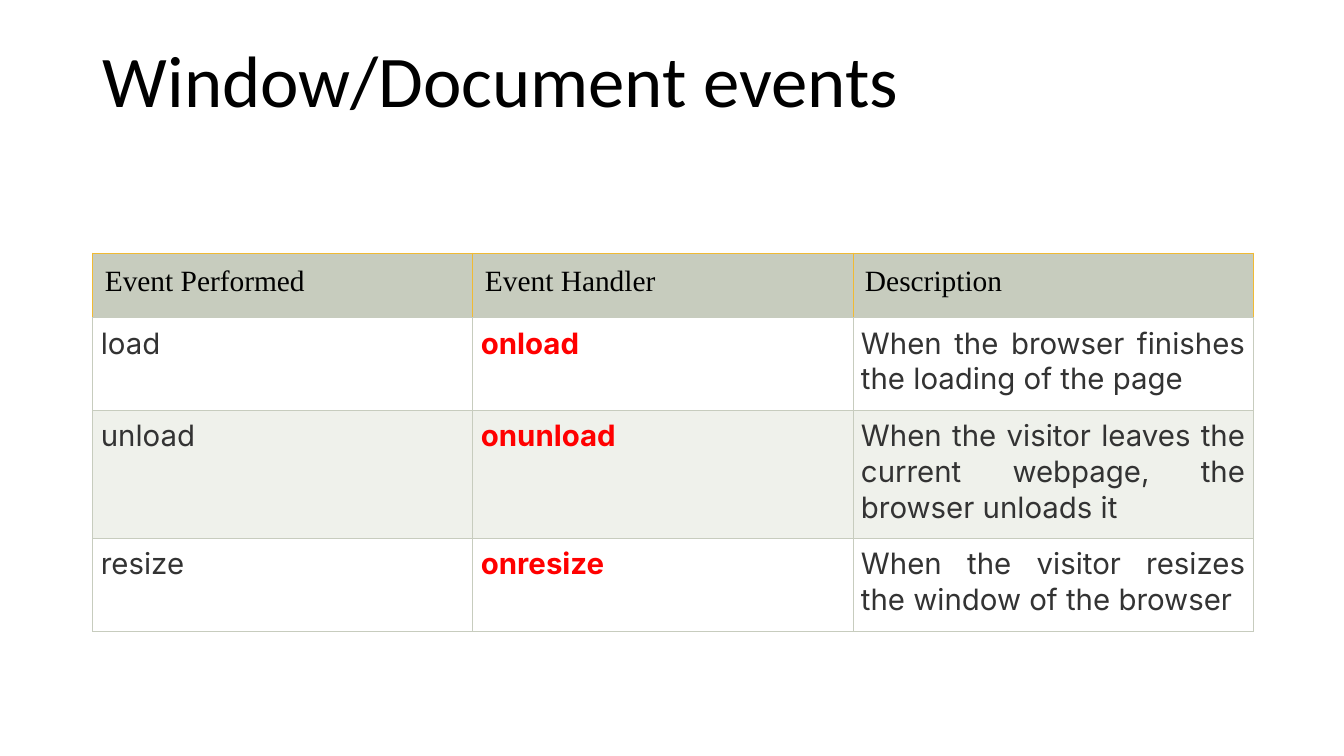
import pptx
import pptx.util
import pptx.dml.color
import pptx.enum.text
import pptx.oxml.ns
from lxml import etree

TITLE = "Window/Document events"
ROWS = [
    ("Event Performed", "Event Handler", "Description"),
    ("load", "onload", "When the browser finishes the loading of the page"),
    ("unload", "onunload", "When the visitor leaves the current webpage, the browser unloads it"),
    ("resize", "onresize", "When the visitor resizes the window of the browser"),
]
COLORS = {"black": "000000", "text": "333333", "handler": "FF0000",
          "header": "C7CCBE", "band": "EFF1EB", "gold": "F0BA34"}
WIDTH, HEIGHT = 13.33, 7.5
LEFT, TABLE_TOP, CONTENT_WIDTH = 0.92, 2.51, 11.5
COLUMN_WIDTHS = (3.77, 3.77, 3.97)
ROW_HEIGHTS = (0.64, 0.92, 1.27, 0.92)
TITLE_FONT = {"name": "Calibri", "size": pptx.util.Pt(52)}
HEADER_FONT = {"name": "Times New Roman", "size": pptx.util.Pt(21), "bold": False}
BODY_FONT = {"name": "Inter", "size": pptx.util.Pt(21), "bold": False}
HANDLER_FONT = {**BODY_FONT, "bold": True}
SIDES = ("left", "right", "top", "bottom")


def rgb(color):
    return pptx.dml.color.RGBColor.from_string(COLORS[color])


def write(tf, text, font, color):
    p = tf.paragraphs[0]
    r = p.add_run()
    r.text = text
    for key, value in font.items():
        setattr(r.font, key, value)
    r.font.color.rgb = rgb(color)
    return p


def set_borders(cell, colors):
    tag = pptx.oxml.ns.qn
    tcPr = cell._tc.get_or_add_tcPr()
    for i, side in enumerate(SIDES):
        line = etree.Element(tag(f"a:ln{side[0].upper()}"), w=str(pptx.util.Pt(0.6)))
        fill = etree.SubElement(line, tag("a:solidFill"))
        etree.SubElement(fill, tag("a:srgbClr"), val=COLORS[colors[side]])
        tcPr.insert(i, line)


def add_title(s):
    sp = s.shapes.add_textbox(*map(pptx.util.Inches, (LEFT, 0.61, CONTENT_WIDTH, 1.24)))
    tf = sp.text_frame
    frame = {"word_wrap": True, "vertical_anchor": pptx.enum.text.MSO_ANCHOR.MIDDLE,
             "margin_top": 0, "margin_bottom": pptx.util.Inches(0.8)}
    for key, value in frame.items():
        setattr(tf, key, value)
    write(tf, TITLE, TITLE_FONT, "black").line_spacing = 0.9


def fill_cell(cell, row, col, text):
    header = row == 0
    for side in SIDES:
        setattr(cell, f"margin_{side}", pptx.util.Inches(0.12 if header else 0.08))
    if header:
        font, color = HEADER_FONT, "black"
    elif col == 1:
        font, color = HANDLER_FONT, "handler"
    else:
        font, color = BODY_FONT, "text"
    p = write(cell.text_frame, text, font, color)
    if not header:
        p.alignment = pptx.enum.text.PP_ALIGN.JUSTIFY
    if header or row % 2 == 0:
        cell.fill.solid()
        cell.fill.fore_color.rgb = rgb("header" if header else "band")
    else:
        cell.fill.background()
    borders = dict.fromkeys(SIDES, "gold" if header else "header")
    borders["bottom"] = "header"
    set_borders(cell, borders)


def add_events_table(s):
    box = (LEFT, TABLE_TOP, sum(COLUMN_WIDTHS), sum(ROW_HEIGHTS))
    table = s.shapes.add_table(len(ROWS), len(COLUMN_WIDTHS), *map(pptx.util.Inches, box)).table
    table.first_row = table.horz_banding = False
    for column, width in zip(table.columns, COLUMN_WIDTHS):
        column.width = pptx.util.Inches(width)
    for row, height in zip(table.rows, ROW_HEIGHTS):
        row.height = pptx.util.Inches(height)
    for i, texts in enumerate(ROWS):
        for j, text in enumerate(texts):
            fill_cell(table.cell(i, j), i, j, text)


def main():
    prs = pptx.Presentation()
    prs.slide_width = pptx.util.Inches(WIDTH)
    prs.slide_height = pptx.util.Inches(HEIGHT)
    s = prs.slides.add_slide(prs.slide_layouts[6])
    add_title(s)
    add_events_table(s)
    prs.save("out.pptx")


if __name__ == "__main__":
    main()
